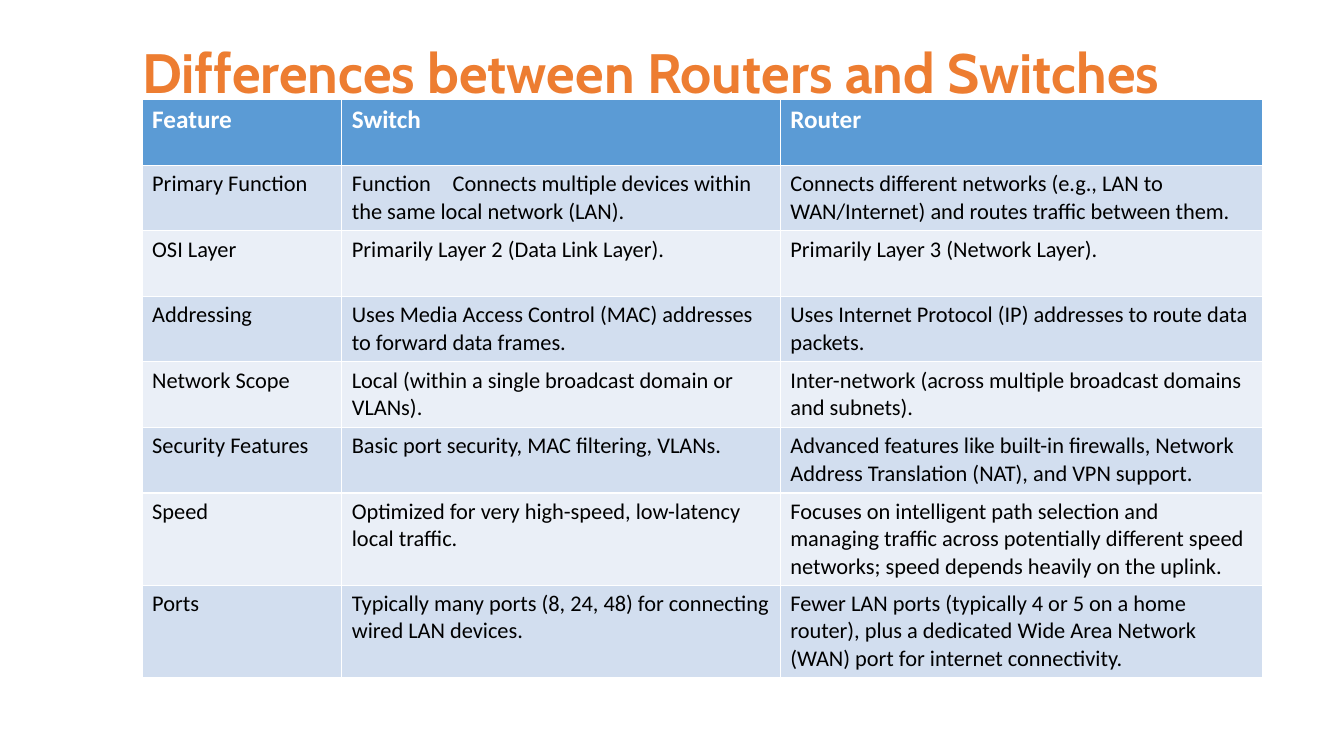
import pptx
import pptx.util
import pptx.dml.color
import pptx.enum.text

Inches = pptx.util.Inches
Pt = pptx.util.Pt
RGBColor = pptx.dml.color.RGBColor

ORANGE = RGBColor(0xED, 0x7D, 0x31)
BLUE = RGBColor(0x5B, 0x9B, 0xD5)
PALE = RGBColor(0xD2, 0xDE, 0xEF)
LIGHT = RGBColor(0xEA, 0xEF, 0xF7)
WHITE = RGBColor(0xFF, 0xFF, 0xFF)
BLACK = RGBColor(0x00, 0x00, 0x00)

TITLE = {"name": "Cabin", "size": Pt(39.6), "bold": True}
HEAD = {"name": "Calibri", "size": Pt(18), "bold": True}
BODY = {"name": "Calibri", "size": Pt(16), "bold": False}

WIDTHS = [1.98, 4.35, 4.78]
ROW = 0.65
ROWS = [
    ("Feature", "Switch", "Router"),
    ("Primary Function",
     "Function\tConnects multiple devices within the same local network (LAN).",
     "Connects different networks (e.g., LAN to WAN/Internet) and routes traffic between them."),
    ("OSI Layer",
     "Primarily Layer 2 (Data Link Layer).",
     "Primarily Layer 3 (Network Layer)."),
    ("Addressing",
     "Uses Media Access Control (MAC) addresses to forward data frames.",
     "Uses Internet Protocol (IP) addresses to route data packets."),
    ("Network Scope",
     "Local (within a single broadcast domain or VLANs).",
     "Inter-network (across multiple broadcast domains and subnets)."),
    ("Security Features",
     "Basic port security, MAC filtering, VLANs.",
     "Advanced features like built-in firewalls, Network Address Translation (NAT), "
     "and VPN support."),
    ("Speed",
     "Optimized for very high-speed, low-latency local traffic.",
     "Focuses on intelligent path selection and managing traffic across potentially "
     "different speed networks; speed depends heavily on the uplink."),
    ("Ports",
     "Typically many ports (8, 24, 48) for connecting wired LAN devices.",
     "Fewer LAN ports (typically 4 or 5 on a home router), plus a dedicated Wide Area "
     "Network (WAN) port for internet connectivity."),
]


def style(par, form, color):
    for key, val in form.items():
        setattr(par.font, key, val)
    par.font.color.rgb = color


deck = pptx.Presentation()
deck.slide_width = Inches(13.33)
deck.slide_height = Inches(7.5)
slide = deck.slides.add_slide(deck.slide_layouts[5])

title = slide.shapes.title
title.left, title.top = Inches(1.31), Inches(0.4)
title.width, title.height = Inches(11.11), Inches(0.7)
frame = title.text_frame
frame.text = "Differences between Routers and Switches"
frame.word_wrap = True
frame.auto_size = pptx.enum.text.MSO_AUTO_SIZE.NONE
frame.vertical_anchor = pptx.enum.text.MSO_ANCHOR.MIDDLE
par = frame.paragraphs[0]
par.alignment = pptx.enum.text.PP_ALIGN.LEFT
par.line_spacing = 0.9
style(par, TITLE, ORANGE)

# The default table style draws the white rules between cells.
table = slide.shapes.add_table(
    len(ROWS), len(WIDTHS), Inches(1.41), Inches(0.99),
    Inches(sum(WIDTHS)), Inches(ROW * len(ROWS))).table
for col, width in zip(table.columns, WIDTHS):
    col.width = Inches(width)

for i, texts in enumerate(ROWS):
    table.rows[i].height = Inches(ROW)
    if i == 0:
        fill, form, color = BLUE, HEAD, WHITE
    else:
        fill, form, color = (PALE if i % 2 else LIGHT), BODY, BLACK
    for j, text in enumerate(texts):
        cell = table.cell(i, j)
        cell.text = text
        cell.fill.solid()
        cell.fill.fore_color.rgb = fill
        style(cell.text_frame.paragraphs[0], form, color)

deck.save("out.pptx")
